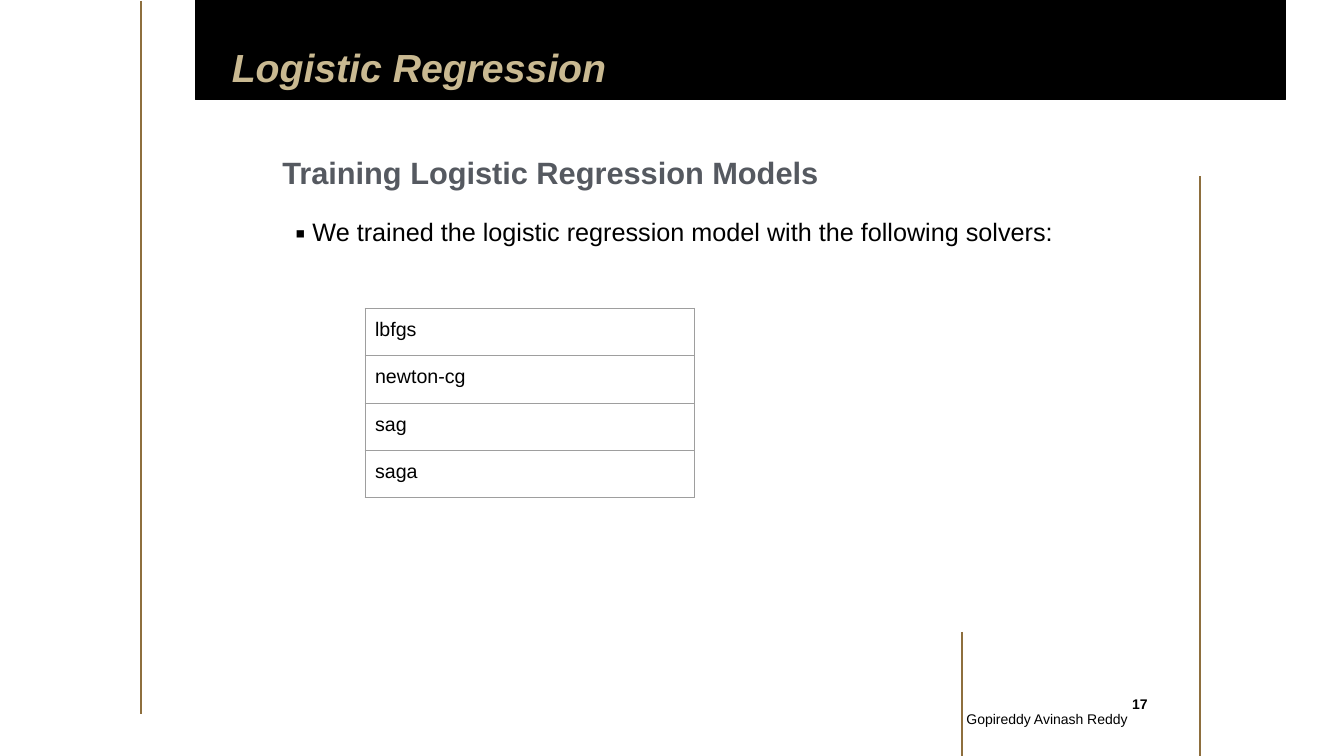
from lxml import etree
from pptx import Presentation
from pptx.dml.color import RGBColor
from pptx.enum.shapes import MSO_CONNECTOR, MSO_SHAPE
from pptx.enum.text import MSO_ANCHOR, PP_ALIGN
from pptx.oxml.ns import qn
from pptx.util import Inches, Pt

STRAIGHT = MSO_CONNECTOR.STRAIGHT
RECTANGLE, OVAL = MSO_SHAPE.RECTANGLE, MSO_SHAPE.OVAL
TOP, MIDDLE = MSO_ANCHOR.TOP, MSO_ANCHOR.MIDDLE
LEFT, CENTER, RIGHT = PP_ALIGN.LEFT, PP_ALIGN.CENTER, PP_ALIGN.RIGHT
COLORS = {"black": "000000", "gold": "C9B991", "bronze": "8E6F3E",
          "slate": "555960", "border": "9E9E9E"}


class SlideBuilder:
    """Draws styled elements on the current slide."""

    def __init__(self, deck):
        self.page = deck.slides.add_slide(deck.slide_layouts[6])
        self.font = "Arial"

    def color(self, name):
        return RGBColor.from_string(COLORS[name])

    def style(self, span, size, color="black", bold=False, italic=False, font=None):
        span.font.name = font or self.font
        span.font.size = Pt(size)
        span.font.bold = bold
        span.font.italic = italic
        span.font.color.rgb = self.color(color)

    def fill_frame(self, frame, text, size, align=LEFT, anchor=TOP,
                   margins=(0, 0), spacing=None, indent=0, **look):
        frame.word_wrap = True
        frame.vertical_anchor = anchor
        frame.margin_left = frame.margin_right = Inches(margins[0])
        frame.margin_top = frame.margin_bottom = Inches(margins[1])
        frame.text = text
        para = frame.paragraphs[0]
        para.alignment = align
        if spacing:
            para.line_spacing = spacing
        if indent:
            properties = para._p.get_or_add_pPr()
            properties.set("marL", str(Inches(indent)))
            properties.set("indent", "0")
        self.style(para.runs[0], size, **look)
        return para

    def text(self, place, text, size, **options):
        box = self.page.shapes.add_textbox(*map(Inches, place))
        return self.fill_frame(box.text_frame, text, size, **options)

    def bullet(self, place, text, size):
        para = self.text(place, "▪", size, spacing=1.15, indent=0.01, font="Noto Sans")
        span = para.add_run()
        span.text = " " + text
        self.style(span, size)

    def banner(self, place):
        band = self.page.shapes.add_shape(RECTANGLE, *map(Inches, place))
        band.shadow.inherit = False
        band.fill.solid()
        band.fill.fore_color.rgb = self.color("black")
        band.line.color.rgb = self.color("black")
        band.line.width = Pt(1)

    def rule(self, x, top, bottom):
        line = self.page.shapes.add_connector(
            STRAIGHT, Inches(x), Inches(top), Inches(x), Inches(bottom))
        line.line.color.rgb = self.color("bronze")
        line.line.width = Pt(1)
        etree.SubElement(line._element.spPr, qn("a:effectLst"))

    def page_number(self, place, number):
        badge = self.page.shapes.add_shape(OVAL, *map(Inches, place))
        badge.shadow.inherit = False
        badge.fill.background()
        badge.line.fill.background()
        self.fill_frame(badge.text_frame, number, 10, align=CENTER, anchor=MIDDLE,
                        margins=(0.02, 0.05), bold=True)

    def border(self, cell):
        properties = cell._tc.get_or_add_tcPr()
        for position, side in enumerate(("lnL", "lnR", "lnT", "lnB")):
            edge = etree.Element(qn("a:" + side), w=str(Pt(0.75)))
            fill = etree.SubElement(edge, qn("a:solidFill"))
            etree.SubElement(fill, qn("a:srgbClr"), val=COLORS["border"])
            properties.insert(position, edge)

    def table(self, left, top, width, row_height, entries):
        frame = self.page.shapes.add_table(
            len(entries), 1, Inches(left), Inches(top),
            Inches(width), Inches(row_height * len(entries)))
        grid = frame.table
        grid.first_row = grid.horz_banding = False
        for row, entry in enumerate(entries):
            grid.rows[row].height = Inches(row_height)
            cell = grid.cell(row, 0)
            cell.fill.background()
            self.fill_frame(cell.text_frame, entry, 14)
            cell.margin_left = cell.margin_right = Inches(0.1)
            cell.margin_top = cell.margin_bottom = Inches(0.1)
            self.border(cell)


def main():
    deck = Presentation()
    deck.slide_width, deck.slide_height = Inches(13.33), Inches(7.5)
    slide = SlideBuilder(deck)
    slide.banner((1.94, 0, 10.81, 0.99))
    for x, top, bottom in ((1.4, 0.01, 7.08), (9.54, 6.27, 7.5), (11.9, 1.75, 7.5)):
        slide.rule(x, top, bottom)
    slide.text((2.3, 0.48, 8.74, 0.42), "Logistic Regression", 28,
               spacing=0.9, color="gold", bold=True, italic=True)
    slide.text((2.3, 1.47, 8.74, 0.37), "Training Logistic Regression Models", 22,
               spacing=1.15, indent=0.5, color="slate", bold=True)
    slide.bullet((2.92, 2.1, 8.06, 3.73),
                 "We trained the logistic regression model with the following solvers:", 18)
    slide.page_number((11.04, 6.78, 0.53, 0.4), "17")
    slide.table(3.62, 3.06, 3.27, 0.47, ("lbfgs", "newton-cg", "sag", "saga"))
    slide.text((9.09, 6.93, 2.19, 0.4), "Gopireddy Avinash Reddy", 10,
               align=RIGHT, anchor=MIDDLE, margins=(0.1, 0.05))
    deck.save("out.pptx")


if __name__ == "__main__":
    main()
